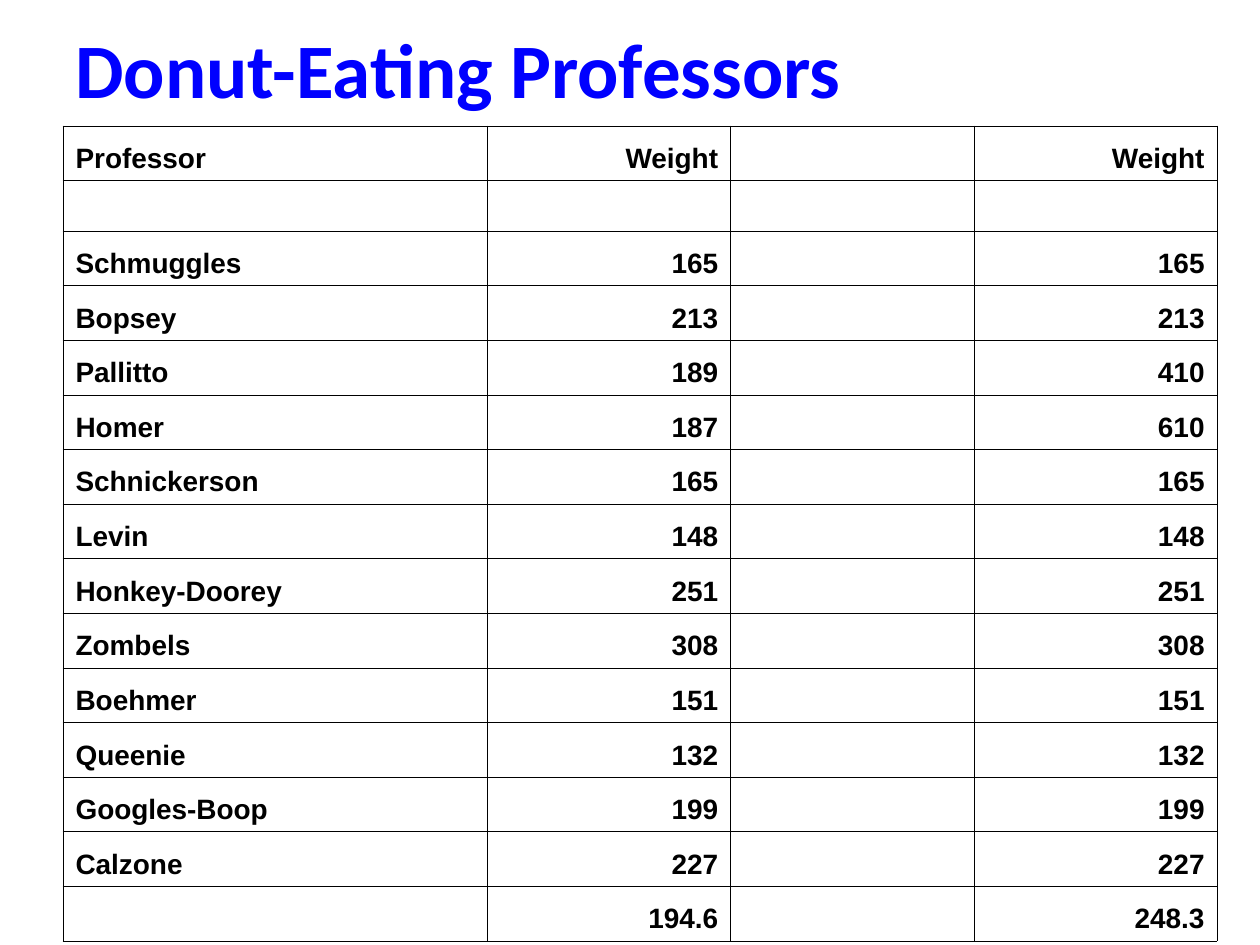
from pptx import Presentation
from pptx.dml.color import RGBColor
from pptx.enum.text import MSO_ANCHOR as Anchor, PP_ALIGN as Align
from pptx.oxml import parse_xml
from pptx.oxml.ns import nsdecls
from pptx.util import Inches, Pt

COLORS = {"title": "0000FF", "text": "000000", "cell": "FFFFFF", "border": "000000"}
TITLE_FORMAT = {"name": "Calibri", "size": Pt(44), "bold": True}
CELL_FORMAT = {"name": "Arial", "size": Pt(16), "bold": True}

TABLE_HEIGHT = 6.47
SPACER_HEIGHT = 0.4
COLUMN_WIDTHS = [3.37, 1.93, 1.93, 1.93]
ROWS = [
    ("Professor", "Weight", "", "Weight"),
    ("", "", "", ""),
    ("Schmuggles", "165", "", "165"),
    ("Bopsey", "213", "", "213"),
    ("Pallitto", "189", "", "410"),
    ("Homer", "187", "", "610"),
    ("Schnickerson", "165", "", "165"),
    ("Levin", "148", "", "148"),
    ("Honkey-Doorey", "251", "", "251"),
    ("Zombels", "308", "", "308"),
    ("Boehmer", "151", "", "151"),
    ("Queenie", "132", "", "132"),
    ("Googles-Boop", "199", "", "199"),
    ("Calzone", "227", "", "227"),
    ("", "194.6", "", "248.3"),
]


def write(para, text, formats, color):
    """Add one formatted span of text to a paragraph."""
    span = para.add_run()
    span.text = text
    for name, value in formats.items():
        setattr(span.font, name, value)
    span.font.color.rgb = RGBColor.from_string(COLORS[color])


def add_borders(cell):
    properties = cell._tc.get_or_add_tcPr()
    for side in ("lnL", "lnR", "lnT", "lnB"):
        properties.append(parse_xml(
            f'<a:{side} {nsdecls("a")} w="{Pt(0.45)}"><a:solidFill>'
            f'<a:srgbClr val="{COLORS["border"]}"/></a:solidFill></a:{side}>'))


deck = Presentation()
deck.slide_width, deck.slide_height = Inches(10), Inches(7.5)
page = deck.slides.add_slide(deck.slide_layouts[6])

title = page.shapes.add_textbox(Inches(0.5), Inches(0), Inches(9.08), Inches(1.17))
frame = title.text_frame
frame.word_wrap = True
frame.vertical_anchor = Anchor.MIDDLE
frame.paragraphs[0].line_spacing = 0.9
write(frame.paragraphs[0], "Donut-Eating Professors", TITLE_FORMAT, "title")

table = page.shapes.add_table(
    len(ROWS), len(COLUMN_WIDTHS),
    Inches(0.5), Inches(1), Inches(sum(COLUMN_WIDTHS)), Inches(TABLE_HEIGHT)).table
table.first_row = table.horz_banding = False
for column, width in zip(table.columns, COLUMN_WIDTHS):
    column.width = Inches(width)

row_height = (TABLE_HEIGHT - SPACER_HEIGHT) / (len(ROWS) - 1)
for row, texts in zip(table.rows, ROWS):
    row.height = Inches(row_height if any(texts) else SPACER_HEIGHT)
    for index, (cell, text) in enumerate(zip(row.cells, texts)):
        add_borders(cell)
        cell.fill.solid()
        cell.fill.fore_color.rgb = RGBColor.from_string(COLORS["cell"])
        cell.vertical_anchor = Anchor.BOTTOM
        if text:
            para = cell.text_frame.paragraphs[0]
            para.alignment = Align.RIGHT if index else Align.LEFT
            write(para, text, CELL_FORMAT, "text")

deck.save("out.pptx")
